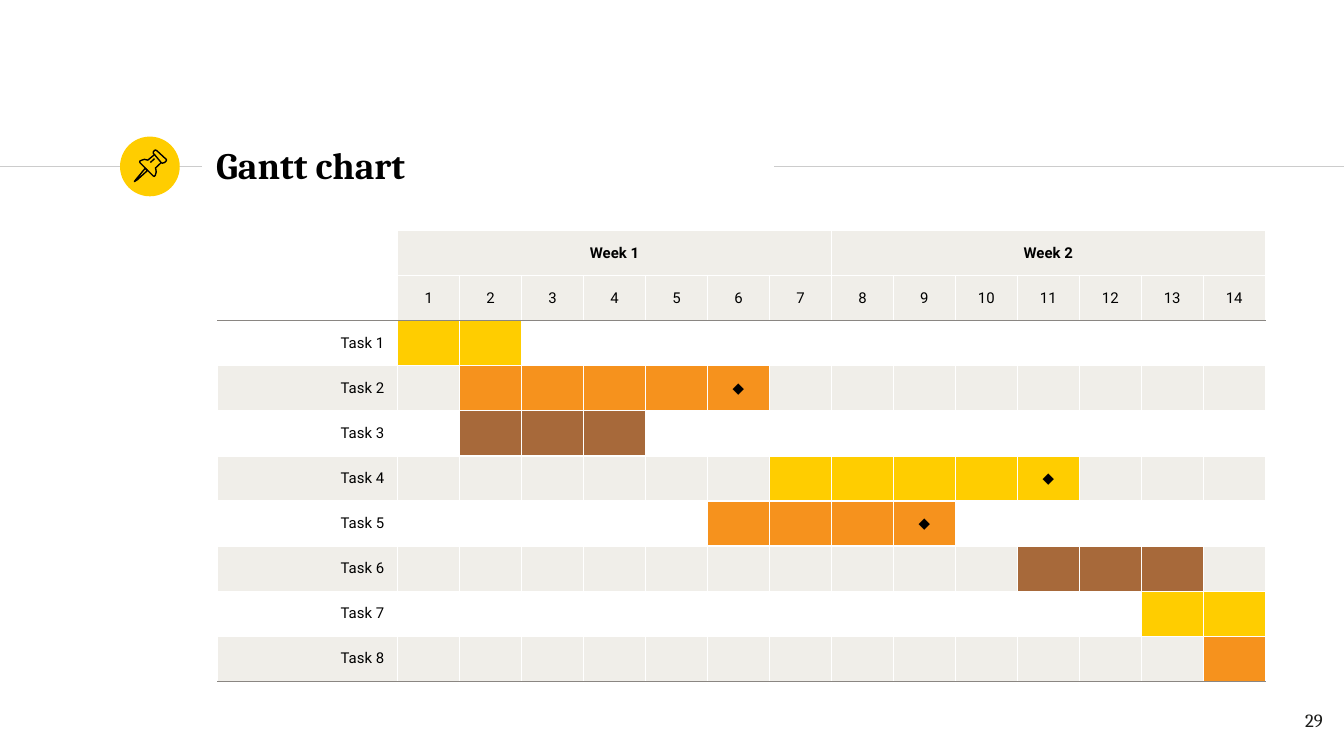
from lxml import etree
from pptx import Presentation
from pptx.dml.color import RGBColor
from pptx.enum import shapes, text
from pptx.oxml import ns
from pptx.util import Pt

BLACK = RGBColor(0x00, 0x00, 0x00)
INK = RGBColor(0x1D, 0x1D, 0x1B)
WHITE = RGBColor(0xFF, 0xFF, 0xFF)
RULE = RGBColor(0xCC, 0xCC, 0xCC)
GREY = RGBColor(0x8A, 0x86, 0x82)
BAND = RGBColor(0xF0, 0xEE, 0xE9)
YELLOW = RGBColor(0xFF, 0xCD, 0x00)
ORANGE = RGBColor(0xF6, 0x92, 0x1D)
BROWN = RGBColor(0xA7, 0x69, 0x3A)

DAYS = 14
HEADER_ROWS = 2
# First day, last day, colour, whether the last day is a milestone
TASKS = [
    (1, 2, YELLOW, False),
    (2, 6, ORANGE, True),
    (2, 4, BROWN, False),
    (7, 11, YELLOW, True),
    (6, 9, ORANGE, True),
    (11, 13, BROWN, False),
    (13, 14, YELLOW, False),
    (14, 14, ORANGE, False),
]
ROWS = HEADER_ROWS + len(TASKS)

# Outlines in tenths of a point, and whether each is closed
PIN_PARTS = [
    ([(778, 902), (726, 965), (720, 973), (734, 965), (790, 914)], True),
    ([(828, 828), (864, 871), (871, 874), (882, 871), (890, 863), (893, 857),
      (890, 853), (839, 806), (833, 804), (828, 806), (822, 814), (821, 821)], True),
    ([(828, 828), (792, 858), (774, 854), (763, 857), (750, 862), (748, 867),
      (750, 872), (821, 943), (827, 945), (832, 939), (837, 922), (835, 907),
      (833, 900), (864, 871)], False),
    ([(806, 871), (828, 850)], False),
]


def write(frame, words, font, size, color, bold=False, align=text.PP_ALIGN.LEFT):
    frame.text = words
    para = frame.paragraphs[0]
    para.alignment = align
    for span in para.runs:
        span.font.name = font
        span.font.size = Pt(size)
        span.font.color.rgb = color
        span.font.bold = bold


def set_borders(cell, bottom, top):
    """Draw thin borders: white at the sides, the given colours above and below."""
    properties = cell._tc.get_or_add_tcPr()
    edges = [("lnL", WHITE), ("lnR", WHITE), ("lnT", top), ("lnB", bottom)]
    for index, (tag, color) in enumerate(edges):
        edge = etree.Element(ns.qn(f"a:{tag}"), w=str(Pt(0.75)))
        fill = etree.SubElement(edge, ns.qn("a:solidFill"))
        etree.SubElement(fill, ns.qn("a:srgbClr"), val=str(color))
        properties.insert(index, edge)


deck = Presentation()
deck.slide_width, deck.slide_height = Pt(720), Pt(405)
page = deck.slides.add_slide(deck.slide_layouts[6])

# Rules beside the title, with the badge over the left one
for start, end in [(0, 108), (414.7, 720)]:
    line = page.shapes.add_connector(
        shapes.MSO_CONNECTOR.STRAIGHT, Pt(start), Pt(89.2), Pt(end), Pt(89.2))
    line.line.color.rgb = RULE
    line.line.width = Pt(0.75)
    etree.SubElement(line._element.spPr, ns.qn("a:effectLst"))

badge = page.shapes.add_shape(
    shapes.MSO_SHAPE.OVAL, Pt(64.3), Pt(73.2), Pt(32), Pt(32))
badge.shadow.inherit = False
badge.fill.solid()
badge.fill.fore_color.rgb = YELLOW
badge.line.fill.background()

# Title and page number
title = page.shapes.add_textbox(Pt(108.7), Pt(70.9), Pt(305.3), Pt(34.6))
number = page.shapes.add_textbox(Pt(672.5), Pt(373.7), Pt(43.2), Pt(31))
for box in (title, number):
    frame = box.text_frame
    frame.word_wrap = True
    frame.margin_left = frame.margin_right = Pt(7.2)
    frame.margin_top = frame.margin_bottom = Pt(7.2)
title.text_frame.vertical_anchor = text.MSO_ANCHOR.MIDDLE
write(title.text_frame, "Gantt chart", "Cambria", 20, BLACK, bold=True)
write(number.text_frame, "29", "Cambria", 10, INK, align=text.PP_ALIGN.RIGHT)

# Gantt table
frame = page.shapes.add_table(
    ROWS, DAYS + 1, Pt(116.7), Pt(123.5), Pt(561.2), Pt(241.6))
gantt = frame.table
gantt.first_row = gantt.horz_banding = False
for column in gantt.columns:
    column.width = Pt(33.2)
gantt.columns[0].width = Pt(96.4)
for row in gantt.rows:
    row.height = Pt(24.16)

for row in range(ROWS):
    for day in range(DAYS + 1):
        cell = gantt.cell(row, day)
        words, color, align = "", None, text.PP_ALIGN.CENTER
        if row < HEADER_ROWS:
            if day:
                color = BAND
                if row == 1:
                    words = str(day)
                elif day % 7 == 1:
                    words = f"Week {day // 7 + 1}"
        else:
            task = row - HEADER_ROWS + 1
            first, last, bar, milestone = TASKS[task - 1]
            if task % 2 == 0:
                color = BAND
            if day == 0:
                words, align = f"Task {task}", text.PP_ALIGN.RIGHT
            elif first <= day <= last:
                color = bar
                if milestone and day == last:
                    words = "◆"
        if color is None:
            cell.fill.background()
        else:
            cell.fill.solid()
            cell.fill.fore_color.rgb = color
        set_borders(cell, bottom=GREY if row in (1, ROWS - 1) else WHITE,
                    top=GREY if row == HEADER_ROWS else WHITE)
        cell.vertical_anchor = text.MSO_ANCHOR.MIDDLE
        if words:
            write(cell.text_frame, words, "Roboto", 8, BLACK, row == 0, align)
        else:
            # Small empty text keeps the rows from growing
            para = cell.text_frame.paragraphs[0]
            etree.SubElement(para._p, ns.qn("a:endParaRPr"), sz="800")

for first in (1, 8):
    gantt.cell(0, first).merge(gantt.cell(0, first + 6))

# Pushpin on the badge
pin = page.shapes.add_group_shape()
for points, closed in PIN_PARTS:
    builder = pin.shapes.build_freeform(*points[0], scale=Pt(0.1))
    builder.add_line_segments(points[1:], close=closed)
    part = builder.convert_to_shape()
    part.shadow.inherit = False
    part.fill.background()
    part.line.color.rgb = BLACK
    part.line.width = Pt(0.75)

deck.save("out.pptx")
